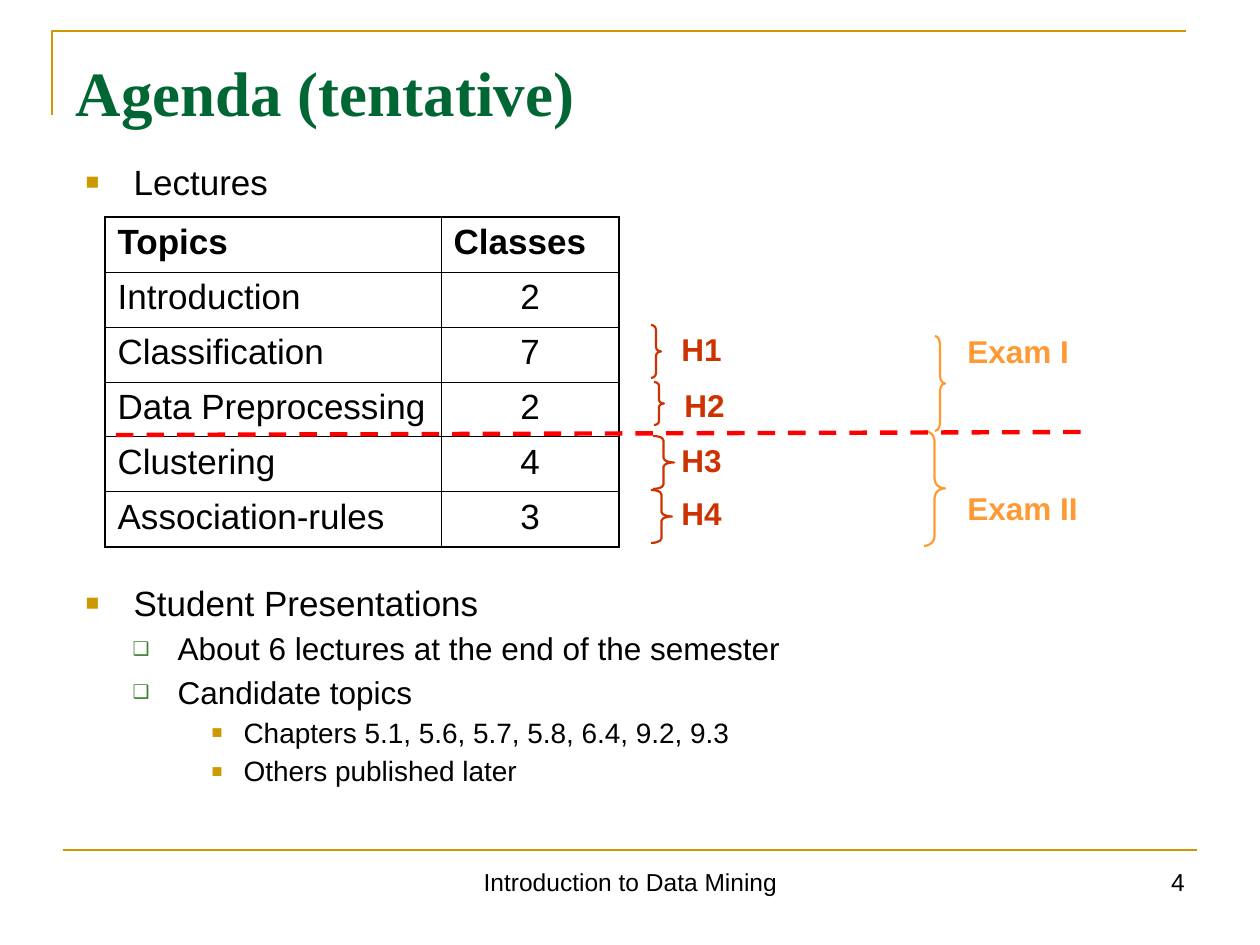
from lxml.etree import SubElement
from pptx import Presentation
from pptx.dml.color import RGBColor
from pptx.enum.dml import MSO_LINE
from pptx.enum.shapes import MSO_CONNECTOR, MSO_SHAPE
from pptx.enum.text import MSO_ANCHOR, MSO_AUTO_SIZE, PP_ALIGN
from pptx.oxml.ns import qn
from pptx.util import Emu, Pt

GOLD = RGBColor(0xCC, 0x99, 0x00)
GREEN = RGBColor(0x00, 0x66, 0x33)
BULLET_GREEN = RGBColor(0x3B, 0x81, 0x2F)
RUST = RGBColor(0xCC, 0x33, 0x00)
ORANGE = RGBColor(0xFF, 0x99, 0x33)
RED = RGBColor(0xFF, 0x00, 0x00)
BLACK = RGBColor(0x00, 0x00, 0x00)

TOPICS = [
    ("Topics", "Classes"),
    ("Introduction", "2"),
    ("Classification", "7"),
    ("Data Preprocessing", "2"),
    ("Clustering", "4"),
    ("Association-rules", "3"),
]
OUTLINE = [
    (0, "Lectures", 0),
    (0, "Student Presentations", 219),
    (1, "About 6 lectures at the end of the semester", 5.4),
    (1, "Candidate topics", 5.4),
    (2, "Chapters 5.1, 5.6, 5.7, 5.8, 6.4, 9.2, 9.3", 4.6),
    (2, "Others published later", 4.6),
]
LEVELS = [
    (20, 48, 48, "■", GOLD, 65),
    (18, 92, 45, "❑", BULLET_GREEN, 60),
    (16, 158, 32, "■", GOLD, 65),
]
BRACES = [
    (651, 325, 10, 53, RUST),
    (654, 382, 10, 43, RUST),
    (653, 436, 21, 53, RUST),
    (651, 490, 21, 53, RUST),
    (935, 336, 10, 95, ORANGE),
    (924, 431, 21, 115, ORANGE),
]
LABELS = [
    ("H1", 669, 324, 73, RUST),
    ("H2", 672, 380, 73, RUST),
    ("H3", 669, 435, 73, RUST),
    ("H4", 669, 488, 73, RUST),
    ("Exam I", 955, 326, 158, ORANGE),
    ("Exam II", 955, 483, 158, ORANGE),
]


def px(length):
    return Emu(round(length * 914400 / 126))


def place(shape, left, top, width, height):
    shape.left, shape.top = px(left), px(top)
    shape.width, shape.height = px(width), px(height)


def write_text(paragraph, text, size=20, color=BLACK, bold=False,
               font="Arial", align=PP_ALIGN.LEFT, before=0, spacing=1.0):
    paragraph.alignment = align
    paragraph.space_before = Pt(before)
    paragraph.line_spacing = spacing
    run = paragraph.add_run()
    run.text = text
    run.font.name = font
    run.font.size = Pt(size)
    run.font.bold = bold
    run.font.color.rgb = color


def add_label(slide, text, left, top, width, height, **text_format):
    box = slide.shapes.add_textbox(px(left), px(top), px(width), px(height))
    box.text_frame.word_wrap = True
    write_text(box.text_frame.paragraphs[0], text, **text_format)


def add_line(slide, start, end, color, width, dash=None):
    line = slide.shapes.add_connector(
        MSO_CONNECTOR.STRAIGHT, *map(px, start + end))
    line.line.color.rgb = color
    line.line.width = Pt(width)
    if dash:
        line.line.dash_style = dash
    SubElement(line._element.spPr, qn("a:effectLst"))


def add_corner(slide):
    builder = slide.shapes.build_freeform(px(52), px(115))
    builder.add_line_segments(
        [(px(52), px(31)), (px(1186), px(31))], close=False)
    corner = builder.convert_to_shape()
    corner.shadow.inherit = False
    corner.fill.background()
    corner.line.color.rgb = GOLD
    corner.line.width = Pt(1.5)


def add_brace(slide, left, top, width, height, color):
    brace = slide.shapes.add_shape(
        MSO_SHAPE.RIGHT_BRACE, px(left), px(top), px(width), px(height))
    brace.adjustments[0] = height / 12 / min(width, height)
    brace.shadow.inherit = False
    brace.fill.background()
    brace.line.color.rgb = color
    brace.line.width = Pt(1.25)


def set_borders(cell, outer_sides):
    properties = cell._tc.get_or_add_tcPr()
    for index, side in enumerate("LRTB"):
        width = Pt(1.08 if side in outer_sides else 0.45)
        border = SubElement(properties, qn(f"a:ln{side}"), w=str(width))
        fill = SubElement(border, qn("a:solidFill"))
        SubElement(fill, qn("a:srgbClr"), val=str(BLACK))
        properties.insert(index, border)


def add_topics(slide):
    rows, columns = len(TOPICS), len(TOPICS[0])
    widths, row_height = (336, 178), 55
    table = slide.shapes.add_table(
        rows, columns, px(105), px(217),
        px(sum(widths)), px(rows * row_height)).table
    for column, width in zip(table.columns, widths):
        column.width = px(width)
    for row, values in enumerate(TOPICS):
        table.rows[row].height = px(row_height)
        for column, value in enumerate(values):
            cell = table.cell(row, column)
            cell.fill.background()
            sides = "L" if column == 0 else "R"
            sides += "T" if row == 0 else ""
            sides += "B" if row == rows - 1 else ""
            set_borders(cell, sides)
            centred = row > 0 and column == 1
            write_text(cell.text_frame.paragraphs[0], value, bold=row == 0,
                       align=PP_ALIGN.CENTER if centred else PP_ALIGN.LEFT)


def set_bullet(paragraph, indent, hanging, character, color, percent):
    properties = paragraph._p.get_or_add_pPr()
    properties.set("marL", str(px(indent)))
    properties.set("indent", str(-px(hanging)))
    bullet_color = SubElement(properties, qn("a:buClr"))
    SubElement(bullet_color, qn("a:srgbClr"), val=str(color))
    SubElement(properties, qn("a:buSzPct"), val=str(percent * 1000))
    SubElement(properties, qn("a:buFont"), typeface="Arial")
    SubElement(properties, qn("a:buChar"), char=character)


def fill_title(title):
    place(title, 63, 42, 1134, 98)
    frame = title.text_frame
    frame.auto_size = MSO_AUTO_SIZE.NONE
    frame.vertical_anchor = MSO_ANCHOR.MIDDLE
    write_text(frame.paragraphs[0], "Agenda (tentative)", size=36,
               color=GREEN, bold=True, font="Times New Roman")


def fill_outline(body):
    place(body, 73, 159, 1134, 632)
    frame = body.text_frame
    frame.auto_size = MSO_AUTO_SIZE.NONE
    for index, (level, text, before) in enumerate(OUTLINE):
        paragraph = frame.add_paragraph() if index else frame.paragraphs[0]
        size, *bullet = LEVELS[level]
        paragraph.level = level
        set_bullet(paragraph, *bullet)
        write_text(paragraph, text, size=size, before=before, spacing=0.9)


def main():
    presentation = Presentation()
    presentation.slide_width, presentation.slide_height = px(1260), px(945)
    slide = presentation.slides.add_slide(presentation.slide_layouts[1])
    add_corner(slide)
    add_line(slide, (63, 850), (1197, 850), GOLD, 1.5)
    add_label(slide, "Introduction to Data Mining", 431, 861, 399, 66,
              size=14, align=PP_ALIGN.CENTER)
    add_label(slide, "4", 903, 861, 294, 66, size=14, align=PP_ALIGN.RIGHT)
    fill_title(slide.shapes.title)
    fill_outline(slide.placeholders[1])
    add_topics(slide)
    for brace in BRACES:
        add_brace(slide, *brace)
    for text, left, top, width, color in LABELS:
        add_label(slide, text, left, top, width, 50,
                  size=18, color=color, bold=True)
    add_line(slide, (116, 435), (1092, 432), RED, 2.5, MSO_LINE.DASH)
    presentation.save("out.pptx")


if __name__ == "__main__":
    main()
